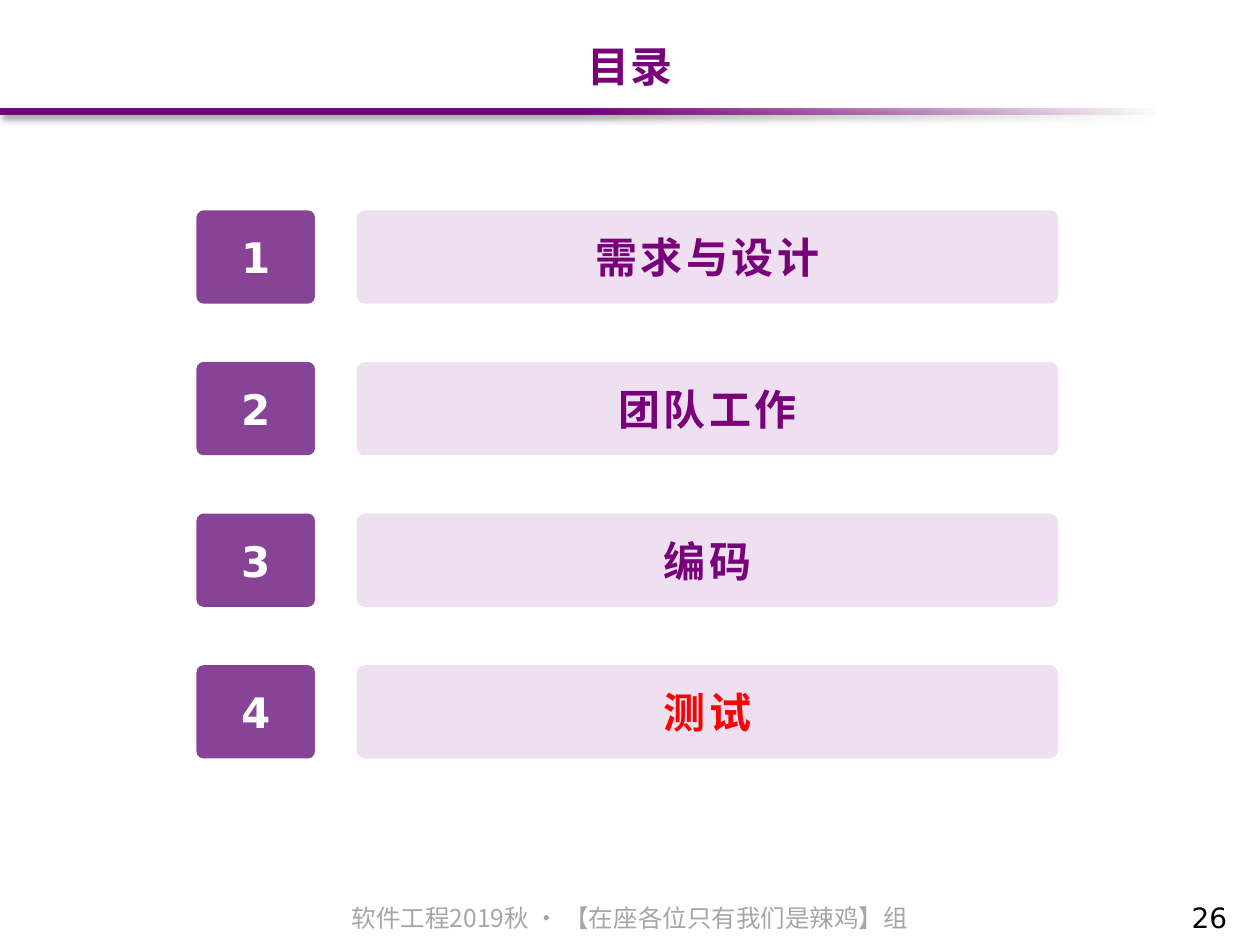
from lxml import etree
from pptx import Presentation
from pptx.dml.color import RGBColor
from pptx.enum.shapes import MSO_SHAPE
from pptx.enum.text import MSO_ANCHOR, PP_ALIGN
from pptx.oxml.ns import qn
from pptx.util import Inches, Pt

RECT, ROUND = MSO_SHAPE.RECTANGLE, MSO_SHAPE.ROUNDED_RECTANGLE
MIDDLE = MSO_ANCHOR.MIDDLE
LEFT, CENTER = PP_ALIGN.LEFT, PP_ALIGN.CENTER
HAN, SANS, ARIAL = "Noto Sans CJK SC", "DejaVu Sans", "Arial"
COLORS = {"plum": "780078", "violet": "874396", "pale": "EEE0F1",
          "red": "FF0000", "white": "FFFFFF", "gray": "A6A6A6",
          "black": "000000"}
TOPICS = ["需求与设计", "团队工作", "编码", "测试"]
CURRENT = "测试"


def rgb(name):
    return RGBColor.from_string(COLORS[name])


def write(shape, text, font, size, color, bold=False, align=CENTER, gap=0):
    """Set one line of text; gap is the letter spacing in points."""
    frame = shape.text_frame
    frame.text = text
    frame.word_wrap = True
    para = frame.paragraphs[0]
    para.alignment = align
    run = para.runs[0]
    run.font.name = font
    run.font.size = Pt(size)
    run.font.bold = bold
    run.font.color.rgb = rgb(color)
    props = run.font._element
    etree.SubElement(props, qn("a:ea"), typeface=HAN)
    if gap:
        props.set("spc", str(int(gap * 100)))
    return para


def add_card(slide, left, top, width, height, fill, radius):
    card = slide.add_shape(ROUND, Inches(left), Inches(top),
                           Inches(width), Inches(height))
    card.adjustments[0] = radius
    card.shadow.inherit = False
    card.fill.solid()
    card.fill.fore_color.rgb = rgb(fill)
    card.line.fill.background()
    card.text_frame.vertical_anchor = MIDDLE
    return card


def add_entry(shapes, number, topic, left, top, width, height):
    badge = add_card(shapes, left, top, 0.94, height, "violet", 0.076)
    frame = badge.text_frame
    frame.margin_left = frame.margin_right = 0
    frame.margin_top = frame.margin_bottom = 0
    write(badge, str(number), SANS, 24, "white", bold=True)
    bar = add_card(shapes, left + 1.27, top, width - 1.27, height,
                   "pale", 0.091)
    color = "red" if topic == CURRENT else "plum"
    write(bar, topic, ARIAL, 24, color, bold=True, gap=2)


def add_agenda(slide, left, top, width, height):
    """Stack the topics so that the rows fill the box evenly."""
    row = 0.74
    step = (height - row) / (len(TOPICS) - 1)
    for i, topic in enumerate(TOPICS):
        group = slide.shapes.add_group_shape()
        add_entry(group.shapes, i + 1, topic, left, top + i * step, width, row)


def add_rule(slide, left, top, width, height):
    """Draw the header bar, which fades out to the right."""
    bar = slide.shapes.add_shape(RECT, Inches(left), Inches(top),
                                 Inches(width), Inches(height))
    bar.line.fill.background()
    bar.fill.gradient()
    bar.fill.gradient_angle = 0
    for stop, place in zip(bar.fill.gradient_stops, (0.5, 1)):
        stop.position = place
        stop.color.rgb = rgb("plum")
    tint = bar._element.spPr.findall(".//" + qn("a:srgbClr"))[-1]
    etree.SubElement(tint, qn("a:alpha"), val="0")

    bar.shadow.inherit = False
    effects = bar._element.spPr.find(qn("a:effectLst"))
    shadow = etree.SubElement(effects, qn("a:outerShdw"),
                              blurRad=str(Pt(4)), dist=str(Pt(3)),
                              dir=str(45 * 60000), rotWithShape="0")
    shade = etree.SubElement(shadow, qn("a:srgbClr"), val=COLORS["black"])
    etree.SubElement(shade, qn("a:alpha"), val="40000")


def set_title(slide, left, top, width, height):
    title = slide.shapes.title
    title.left, title.top = Inches(left), Inches(top)
    title.width, title.height = Inches(width), Inches(height)
    title.text_frame.vertical_anchor = MIDDLE
    write(title, "目录", ARIAL, 24, "plum", bold=True, gap=0.5)


def add_footer(slide, left, top, width, height):
    note = slide.shapes.add_textbox(Inches(left), Inches(top),
                                    Inches(width), Inches(height))
    para = write(note, "软件工程2019秋 · 【在座各位只有我们是辣鸡】组",
                 HAN, 14, "gray")
    para.line_spacing = 0.8
    page = slide.shapes.add_textbox(Inches(left + width - 0.64),
                                    Inches(top - 0.06),
                                    Inches(0.64), Inches(0.4))
    write(page, "26", SANS, 16, "black", align=LEFT)


def main():
    deck = Presentation()
    deck.slide_width, deck.slide_height = Inches(10), Inches(7.5)
    slide = deck.slides.add_slide(deck.slide_layouts[5])
    add_rule(slide, -0.01, 0.86, 9.19, 0.05)
    set_title(slide, 0.5, 0.25, 9, 0.54)
    add_agenda(slide, 1.56, 1.67, 6.84, 4.35)
    add_footer(slide, 0, 7.16, 10, 0.29)
    deck.save("out.pptx")


if __name__ == "__main__":
    main()
